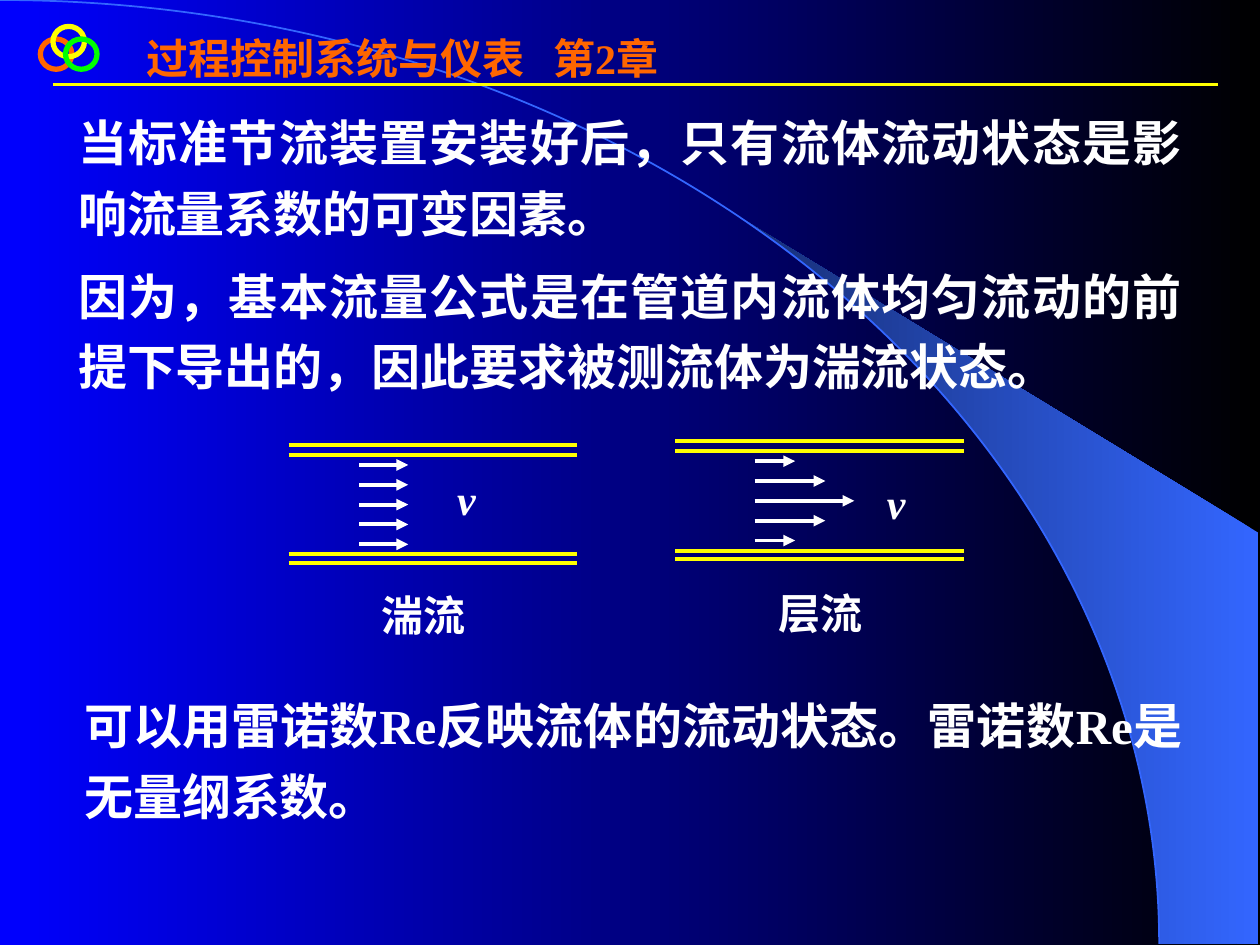
from math import asin, cos, pi, sin

from lxml.etree import SubElement
from pptx import Presentation
from pptx.dml.color import RGBColor
from pptx.enum.shapes import MSO_CONNECTOR as Connector, MSO_SHAPE as Shape
from pptx.enum.text import MSO_ANCHOR as Anchor, MSO_AUTO_SIZE as AutoSize, PP_ALIGN as Align
from pptx.oxml.ns import qn
from pptx.util import Inches, Pt

FONT = "Times New Roman"
BLACK = RGBColor(0x00, 0x00, 0x00)
BLUE = RGBColor(0x00, 0x00, 0xFF)
SKY = RGBColor(0x33, 0x66, 0xFF)
NAVY = RGBColor(0x17, 0x2F, 0x75)
ORANGE = RGBColor(0xFF, 0x66, 0x00)
YELLOW = RGBColor(0xFF, 0xFF, 0x00)
GREEN = RGBColor(0x00, 0xFF, 0x00)
WHITE = RGBColor(0xFF, 0xFF, 0xFF)

# Content
HEADER = "过程控制系统与仪表\t第2章"
HEADER_TAB = 3.23
CONDITIONS = [
    "当标准节流装置安装好后，只有流体流动状态是影响流量系数的可变因素。",
    "因为，基本流量公式是在管道内流体均匀流动的前提下导出的，因此要求被测流体为湍流状态。",
]
REYNOLDS = ["可以用雷诺数Re反映流体的流动状态。雷诺数Re是无量纲系数。"]
RINGS = [(0.32, 0.31, ORANGE), (0.42, 0.21, YELLOW), (0.52, 0.31, GREEN)]
PIPES = [
    dict(left=2.29, top=3.53, arrow_left=2.85, arrows=[0.39] * 5,
         label=("湍流", 2.93, 4.63), speed=("v", 3.53, 3.71)),
    dict(left=5.36, top=3.5, arrow_left=5.99, arrows=[0.32, 0.56, 0.79, 0.56, 0.32],
         label=("层流", 6.08, 4.61), speed=("v", 6.94, 3.74)),
]
PIPE_LENGTH = 2.29
WALL_OFFSETS = [0, 0.08, 0.87, 0.94]
ARROW_OFFSET, ARROW_SPAN = 0.16, 0.63
ARC_WIDTH, ARC_HEIGHT = 9.2, 7.49

presentation = Presentation()
presentation.slide_width, presentation.slide_height = Inches(10), Inches(7.5)
slide = presentation.slides.add_slide(presentation.slide_layouts[1])
shapes = slide.shapes


def set_gradient(fill, start, end):
    fill.gradient()
    fill.gradient_angle = 180
    for stop, color in zip(fill.gradient_stops, (start, end)):
        stop.color.rgb = color


def place_in_front(shape, left, top, width, height):
    shape.left, shape.top = Inches(left), Inches(top)
    shape.width, shape.height = Inches(width), Inches(height)
    shapes._spTree.append(shape._element)


def add_outline(kind, left, top, width, height, color, weight):
    shape = shapes.add_shape(kind, Inches(left), Inches(top), Inches(width), Inches(height))
    shape.shadow.inherit = False
    shape.fill.background()
    shape.line.color.rgb = color
    shape.line.width = Pt(weight)


def add_line(left, top, length, color, weight, arrow=False):
    line = shapes.add_connector(Connector.STRAIGHT, Inches(left), Inches(top),
                                Inches(left + length), Inches(top))
    line.line.color.rgb = color
    line.line.width = Pt(weight)
    if arrow:
        SubElement(line.line._get_or_add_ln(), qn("a:tailEnd"), type="triangle")
    SubElement(line._element.spPr, qn("a:effectLst"))


def style_font(paragraph, size, color, italic=False):
    for run in paragraph.runs:
        font = run.font
        font.name, font.size, font.bold, font.italic = FONT, Pt(size), True, italic
        font.color.rgb = color


def fill_body(shape, texts):
    frame = shape.text_frame
    frame.word_wrap, frame.auto_size = True, AutoSize.NONE
    frame.vertical_anchor = Anchor.TOP
    frame.text = "\n".join(texts)
    for index, paragraph in enumerate(frame.paragraphs):
        properties = paragraph._p.get_or_add_pPr()
        properties.set("marL", "0")
        properties.set("indent", "0")
        SubElement(properties, qn("a:buNone"))
        paragraph.alignment = Align.JUSTIFY
        paragraph.line_spacing = 1.2
        paragraph.space_before = Pt(7 if index else 0)
        style_font(paragraph, 28, WHITE)


def add_label(text, left, top, width, italic=False):
    box = shapes.add_textbox(Inches(left), Inches(top), Inches(width), Inches(0.5))
    box.text_frame.word_wrap = False
    box.text_frame.auto_size = AutoSize.SHAPE_TO_FIT_TEXT
    box.text_frame.text = text
    style_font(box.text_frame.paragraphs[0], 24, WHITE, italic)


# Background: gradient, light fan along the arc, arc
set_gradient(slide.background.fill, BLACK, BLUE)
start_angle, steps = asin(5.89 / ARC_WIDTH), 40
angles = [start_angle + (pi / 2 - start_angle) * step / steps for step in range(steps + 1)]
arc_points = [(ARC_WIDTH * sin(angle), ARC_HEIGHT * (1 - cos(angle))) for angle in angles]
fan_points = arc_points + [(9.99, 7.49), (9.99, 4.23)]
builder = shapes.build_freeform(*map(Inches, fan_points[0]))
builder.add_line_segments([(Inches(x), Inches(y)) for x, y in fan_points[1:]])
fan = builder.convert_to_shape()
fan.shadow.inherit = False
set_gradient(fan.fill, SKY, NAVY)
fan.line.fill.background()
add_outline(Shape.ARC, -ARC_WIDTH, 0, 2 * ARC_WIDTH, 2 * ARC_HEIGHT, SKY, 1)

# Header
add_line(0.42, 0.67, 9.25, YELLOW, 1.5)
for ring_left, ring_top, ring_color in RINGS:
    add_outline(Shape.OVAL, ring_left, ring_top, 0.25, 0.24, ring_color, 3)
title = shapes.title
place_in_front(title, 1.06, 0.21, 4.8, 0.5)
title.text_frame.text = HEADER
title.text_frame.vertical_anchor = Anchor.TOP
title.text_frame.auto_size = AutoSize.NONE
header = title.text_frame.paragraphs[0]
tabs = SubElement(header._p.get_or_add_pPr(), qn("a:tabLst"))
SubElement(tabs, qn("a:tab"), pos=str(Inches(HEADER_TAB)), algn="l")
header.alignment = Align.LEFT
style_font(header, 24, ORANGE)

# Text above and below the pipes
body = slide.placeholders[1]
place_in_front(body, 0.52, 0.75, 8.96, 2.44)
fill_body(body, CONDITIONS)
closing = shapes.add_textbox(Inches(0.57), Inches(5.38), Inches(8.91), Inches(1.22))
fill_body(closing, REYNOLDS)

# Pipes with velocity profiles
for pipe in PIPES:
    for offset in WALL_OFFSETS:
        add_line(pipe["left"], pipe["top"] + offset, PIPE_LENGTH, YELLOW, 2.25)
    arrow_step = ARROW_SPAN / (len(pipe["arrows"]) - 1)
    for index, length in enumerate(pipe["arrows"]):
        arrow_top = pipe["top"] + ARROW_OFFSET + index * arrow_step
        add_line(pipe["arrow_left"], arrow_top, length, WHITE, 2.25, arrow=True)
    add_label(*pipe["label"], width=0.88)
    add_label(*pipe["speed"], width=0.35, italic=True)

presentation.save("out.pptx")
